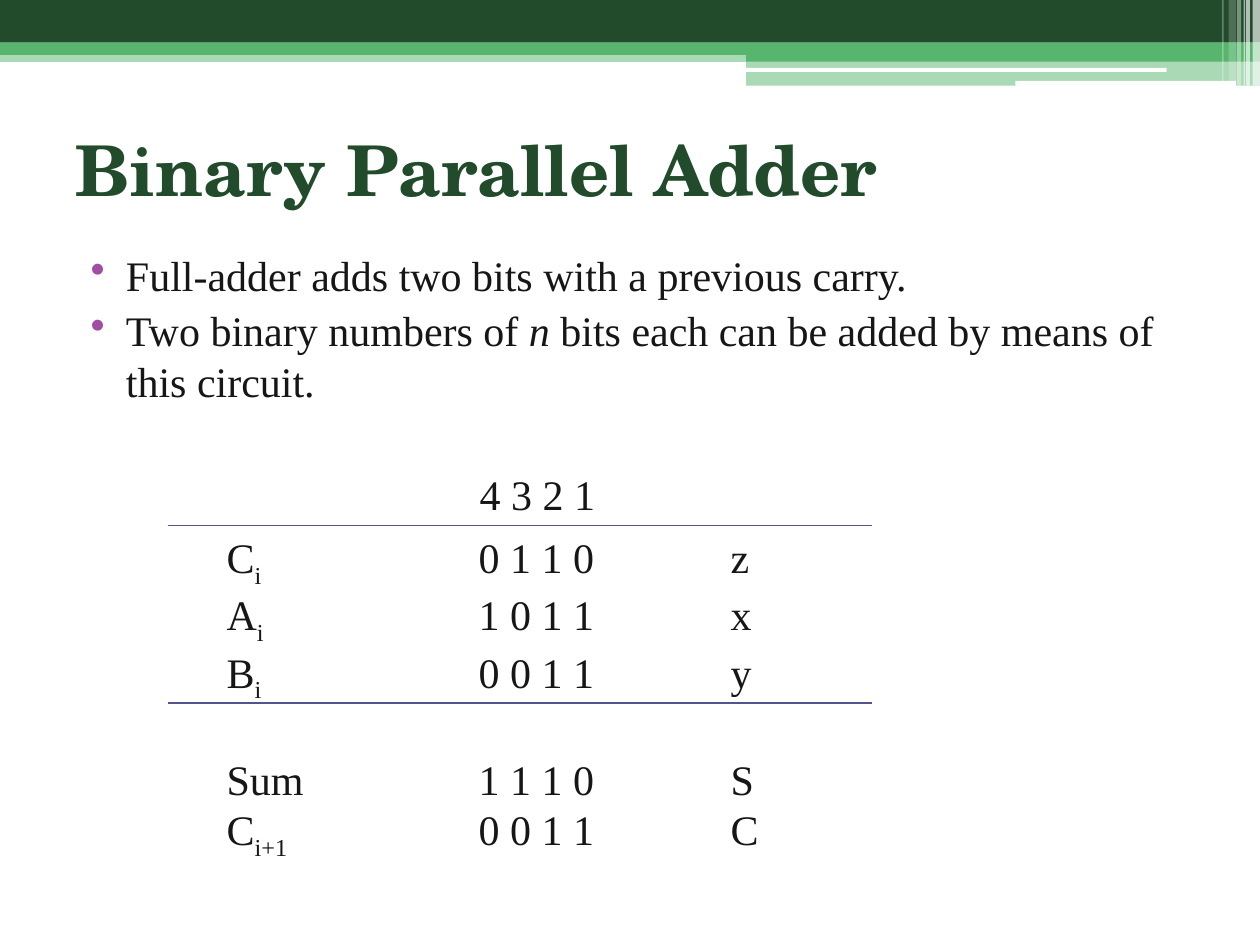
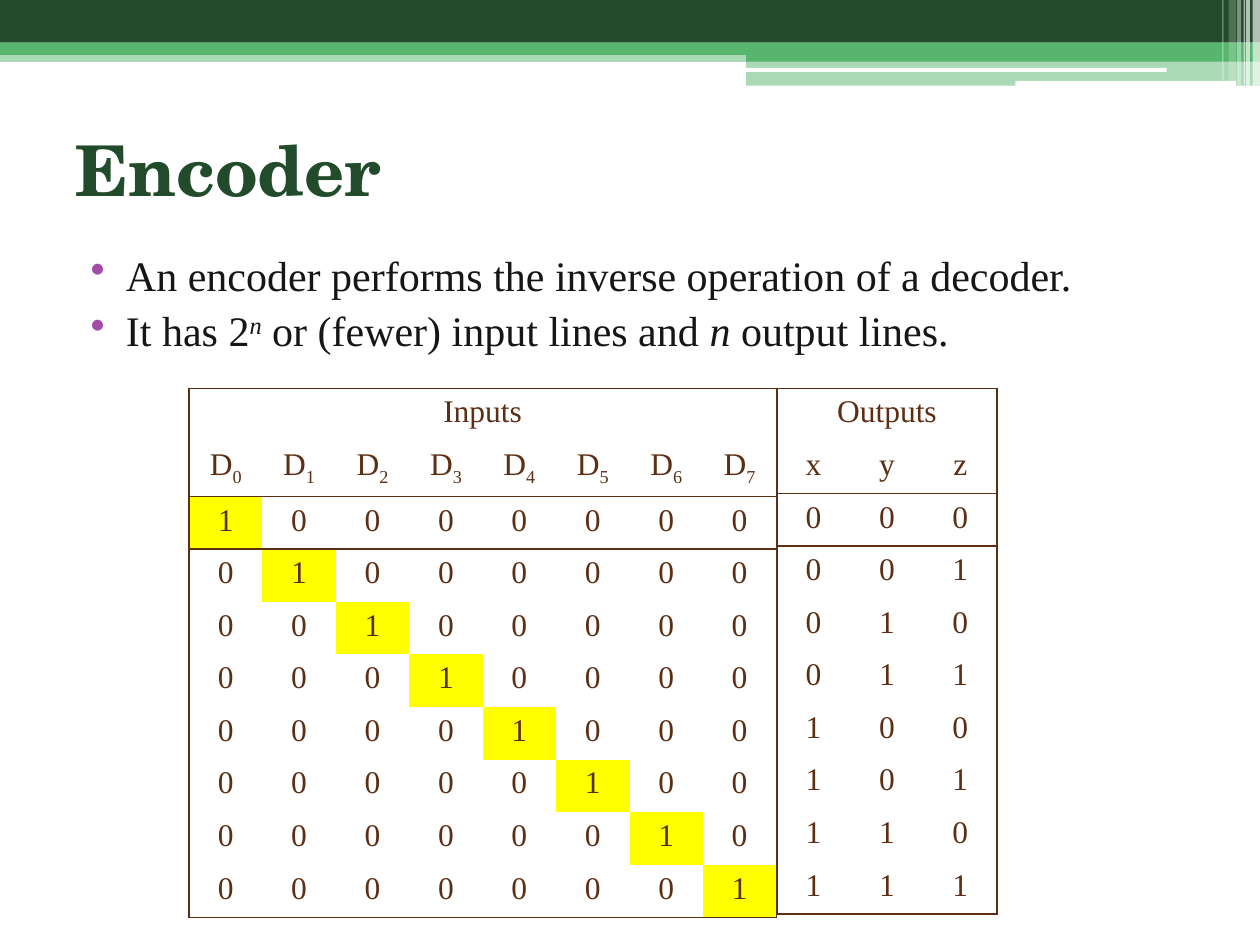
from lxml import etree
from pptx import Presentation
from pptx import util as u
from pptx.dml.color import RGBColor
from pptx.enum import shapes, text
from pptx.oxml import ns

COLOURS = {
    "dark": "214B2B",
    "green": "57B56D",
    "white": "FFFFFF",
    "bullet": "A04DA3",
    "ink": "161616",
    "rule": "53548A",
    "brown": "5C2E14",
    "highlight": "FFFF00",
}
TITLE_FONT = "TeX Gyre Schola"
BODY_FONT = "Times New Roman"
PLAIN_TABLE_STYLE = "{2D5ABB26-0587-4C30-8999-92F81FD0307C}"
BASELINES = {"sub": "-25000", "sup": "30000"}
BANDS = [
    ("rect", 0, 1.02, 25.4, 0.23, "green", 50),
    ("rect", 0, 0, 25.4, 0.86, "dark", 100),
    ("rect", 0, 0.86, 25.4, 0.25, "green", 100),
    ("rect", 15.04, 0.99, 10.36, 0.25, "green", 100),
    ("rect", 15.04, 1.22, 10.36, 0.51, "green", 50),
    ("round", 15.01, 1.37, 8.51, 0.08, "white", 100),
    ("round", 20.47, 1.63, 4.45, 0.1, "white", 100),
]
STRIPES = [
    (25.25, 0.15, 1.73, 65),
    (25.12, 0.08, 1.73, 65),
    (25.07, 0.03, 1.73, 60),
    (24.94, 0.08, 1.73, 40),
    (24.77, 0.15, 1.63, 20),
    (24.64, 0.03, 1.63, 30),
]


def colour(name):
    """Return the named colour."""
    return RGBColor.from_string(COLOURS[name])


def box(*lengths):
    """Turn centimetres into slide lengths."""
    return [u.Cm(length) for length in lengths]


def add_element(parent, tag, **attributes):
    """Append a drawing element with its attributes."""
    return etree.SubElement(parent, ns.qn(tag), attributes)


def add_band(slide, kind, left, top, width, height, fill, opacity):
    """Draw one flat band of the header."""
    preset = shapes.MSO_SHAPE.RECTANGLE if kind == "rect" else shapes.MSO_SHAPE.ROUNDED_RECTANGLE
    shape = slide.shapes.add_shape(preset, *box(left, top, width, height))
    shape.shadow.inherit = False
    shape.line.fill.background()
    shape.fill.solid()
    shape.fill.fore_color.rgb = colour(fill)
    if opacity < 100:
        fill_colour = shape.fill._xPr.find(".//" + ns.qn("a:srgbClr"))
        add_element(fill_colour, "a:alpha", val=str(opacity * 1000))


def write_runs(paragraph, runs, size, ink="ink", font=BODY_FONT, bold=False):
    """Write (words, style) runs, where style may hold italic, sub or sup."""
    for words, style in runs:
        run = paragraph.add_run()
        run.text = words
        run.font.size = u.Pt(size)
        run.font.name = font
        run.font.bold = bold
        run.font.color.rgb = colour(ink)
        if "italic" in style:
            run.font.italic = True
        for name, baseline in BASELINES.items():
            if name in style:
                run.font._element.set("baseline", baseline)


def add_text(slide, left, top, width, height):
    """Add an empty wrapping text box and return its frame."""
    frame = slide.shapes.add_textbox(*box(left, top, width, height)).text_frame
    frame.word_wrap = True
    return frame


def add_paragraphs(frame, count):
    """Return the given number of paragraphs in a new frame."""
    return [frame.paragraphs[0]] + [frame.add_paragraph() for _ in range(count - 1)]


def add_slide(presentation, title):
    """Add a slide with the header bands and a title."""
    slide = presentation.slides.add_slide(presentation.slide_layouts[6])
    for band in BANDS:
        add_band(slide, *band)
    for left, width, height, opacity in STRIPES:
        add_band(slide, "rect", left, 0, width, height, "white", opacity)
    frame = add_text(slide, 1.27, 1.91, 22.86, 2.97)
    frame.vertical_anchor = text.MSO_ANCHOR.MIDDLE
    write_runs(frame.paragraphs[0], [(title, "")], 40, "dark", TITLE_FONT, True)
    return slide


def add_bullets(slide, items):
    """Add the bulleted body text."""
    frame = add_text(slide, 1.27, 4.9, 22.86, 12.01)
    for index, (paragraph, runs) in enumerate(zip(add_paragraphs(frame, len(items)), items)):
        properties = paragraph._p.get_or_add_pPr()
        properties.set("marL", str(u.Cm(1.02)))
        properties.set("indent", str(u.Cm(-0.71)))
        bullet_colour = add_element(properties, "a:buClr")
        add_element(bullet_colour, "a:srgbClr", val=COLOURS["bullet"])
        add_element(properties, "a:buChar", char="•")
        if index:
            paragraph.space_before = u.Pt(3)
        write_runs(paragraph, runs, 24)


def add_rule(slide, top):
    """Draw a horizontal rule of the sum."""
    connector = slide.shapes.add_connector(
        shapes.MSO_CONNECTOR.STRAIGHT, *box(3.38, top, 17.58, top))
    connector.line.color.rgb = colour("rule")
    connector.line.width = u.Pt(0.75)
    add_element(connector._element.spPr, "a:effectLst")


def add_sum(slide, rows):
    """Set out the binary addition in tabbed columns."""
    frame = add_text(slide, 4.32, 10.59, 11.35, 6.4)
    for paragraph, (label, index, bits, name) in zip(add_paragraphs(frame, len(rows)), rows):
        tabs = add_element(paragraph._p.get_or_add_pPr(), "a:tabLst")
        for position in (5.08, 10.16):
            add_element(tabs, "a:tab", pos=str(u.Cm(position)), algn="l")
        if label == "Sum":
            paragraph.space_before = u.Pt(28.5)
        runs = [(label, ""), (index, "sub"), (f"\t{bits}\t{name}", "")]
        write_runs(paragraph, [run for run in runs if run[0]], 24)


def set_borders(cell, sides):
    """Draw the given sides of a cell and clear the others."""
    properties = cell._tc.get_or_add_tcPr()
    for side in "LRTB":
        line = add_element(properties, f"a:ln{side}", w=str(u.Pt(1)))
        if side in sides:
            fill = add_element(line, "a:solidFill")
            add_element(fill, "a:srgbClr", val=COLOURS["brown"])
        else:
            add_element(line, "a:noFill")


def cell_sides(row, column, row_count, column_count):
    """Name the ruled sides of a cell."""
    sides = "L" if column == 0 else ""
    if column == column_count - 1 or (row, column) == (0, 0):
        sides += "R"
    if row in (0, 2, 3):
        sides += "T"
    if row in (1, 2, row_count - 1):
        sides += "B"
    return sides


def add_truth_table(slide, left, heading, labels, rows, highlight_ones=False):
    """Add one half of the truth table under a merged heading."""
    row_count, column_count = len(rows) + 2, len(labels)
    side, height = 1.48, 1.06
    frame = slide.shapes.add_table(
        row_count, column_count, *box(left, 7.83, side * column_count, height * row_count))
    table = frame.table
    table.first_row = table.horz_banding = False
    table._tbl.tblPr.find(ns.qn("a:tableStyleId")).text = PLAIN_TABLE_STYLE
    for column in table.columns:
        column.width = u.Cm(side)
    for row in table.rows:
        row.height = u.Cm(height)
    table.cell(0, 0).merge(table.cell(0, column_count - 1))
    bits = [[[(bit, "")] for bit in row] for row in rows]
    contents = [[[(heading, "")]] + [[]] * (column_count - 1), labels] + bits
    for row, line in enumerate(contents):
        for column, runs in enumerate(line):
            cell = table.cell(row, column)
            set_borders(cell, cell_sides(row, column, row_count, column_count))
            if highlight_ones and runs == [("1", "")]:
                cell.fill.solid()
                cell.fill.fore_color.rgb = colour("highlight")
            else:
                cell.fill.background()
            paragraph = cell.text_frame.paragraphs[0]
            paragraph.alignment = text.PP_ALIGN.CENTER
            write_runs(paragraph, runs, 18, "brown")


def build_adder(presentation):
    """Build the slide on the parallel adder."""
    slide = add_slide(presentation, "Binary Parallel Adder")
    add_bullets(slide, [
        [("Full-adder adds two bits with a previous carry.", "")],
        [("Two binary numbers of ", ""), ("n", "italic"),
         (" bits each can be added by means of this circuit.", "")],
    ])
    add_sum(slide, [
        ("C", "i", "0 1 1 0", "z"),
        ("A", "i", "1 0 1 1", "x"),
        ("B", "i", "0 0 1 1", "y"),
        ("Sum", "", "1 1 1 0", "S"),
        ("C", "i+1", "0 0 1 1", "C"),
    ])
    for top in (14.17, 10.59):
        add_rule(slide, top)
    positions = add_text(slide, 9.42, 9.32, 2.87, 1.27)
    write_runs(positions.paragraphs[0], [("4 3 2 1", "")], 24)


def build_encoder(presentation):
    """Build the slide on the encoder."""
    slide = add_slide(presentation, "Encoder")
    add_bullets(slide, [
        [("An encoder performs the inverse operation of a decoder.", "")],
        [("It has 2", ""), ("n", "italic sup"), (" or (fewer) input lines and ", ""),
         ("n", "italic"), (" output lines.", "")],
    ])
    lines = range(8)
    input_labels = [[("D", ""), (str(line), "sub")] for line in lines]
    inputs = [["1" if line == active else "0" for line in lines] for active in lines]
    add_truth_table(slide, 3.81, "Inputs", input_labels, inputs, highlight_ones=True)
    output_labels = [[(name, "")] for name in "xyz"]
    outputs = [f"{active:03b}" for active in lines]
    add_truth_table(slide, 15.66, "Outputs", output_labels, outputs)


def main():
    """Build and save the presentation."""
    presentation = Presentation()
    presentation.slide_width, presentation.slide_height = box(25.4, 19.05)
    build_adder(presentation)
    build_encoder(presentation)
    presentation.save("out.pptx")


if __name__ == "__main__":
    main()
